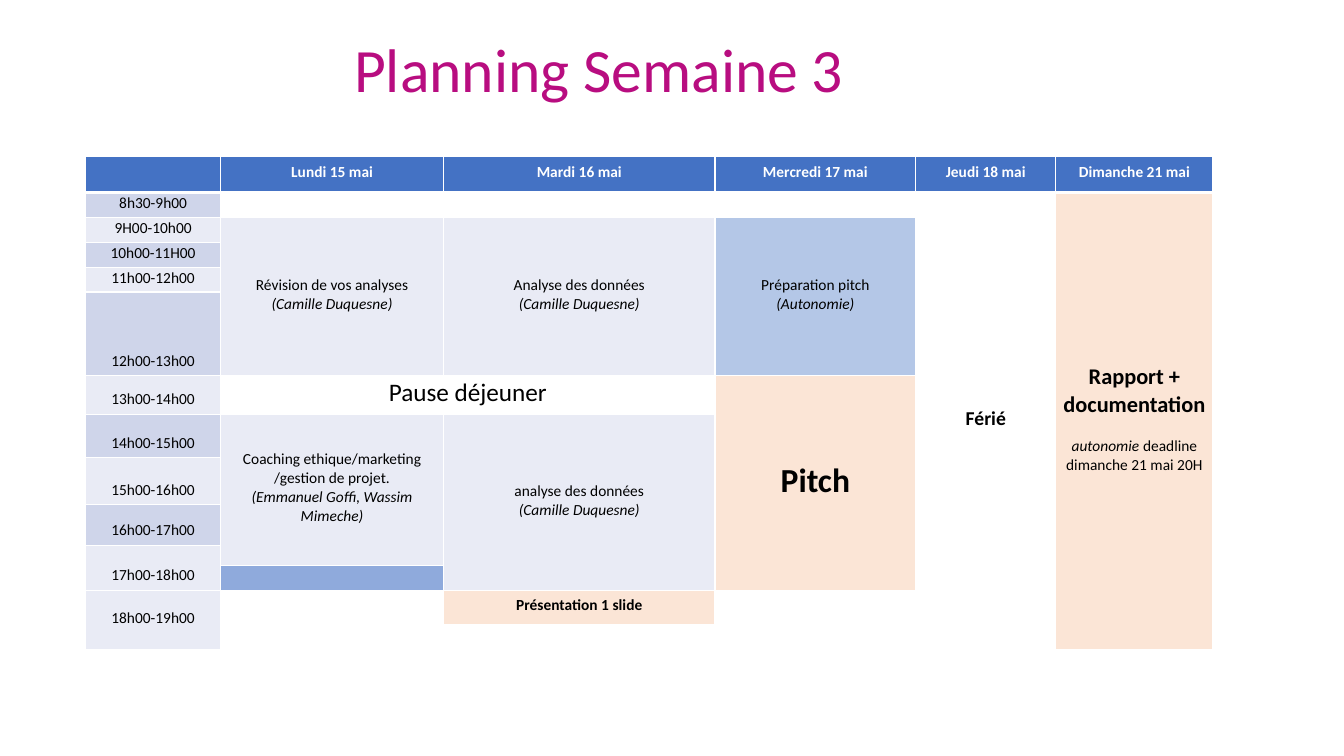
from dataclasses import dataclass

from lxml import etree
from pptx import Presentation
from pptx.dml.color import RGBColor
from pptx.enum.text import MSO_ANCHOR, PP_ALIGN
from pptx.oxml.ns import qn
from pptx.util import Cm, Pt

CENTER = PP_ALIGN.CENTER
MIDDLE = MSO_ANCHOR.MIDDLE
BOTTOM = MSO_ANCHOR.BOTTOM


@dataclass(frozen=True)
class Theme:
    font: str = "Calibri"
    title: str = "B80D80"
    header: str = "4472C4"
    white: str = "FFFFFF"
    black: str = "000000"
    band_dark: str = "CFD5EA"
    band_light: str = "E9EBF5"
    peach: str = "FBE5D6"
    sky: str = "B4C7E7"
    steel: str = "8FAADC"
    title_size: float = 44
    pitch_size: float = 24
    pause_size: float = 18
    report_size: float = 16
    holiday_size: float = 14
    body_size: float = 11


THEME = Theme()


@dataclass(frozen=True)
class Span:
    text: str
    italic: bool = False
    bold: bool = False
    size: float = THEME.body_size
    color: str = THEME.black


@dataclass(frozen=True)
class Line:
    spans: tuple[Span, ...]
    space_before: float = 0


@dataclass(frozen=True)
class Slot:
    row: int
    column: int
    fill: str
    lines: tuple[Line, ...] = ()
    rows: int = 1
    columns: int = 1
    anchor: MSO_ANCHOR = MIDDLE


COLUMN_WIDTHS = (3.4, 5.62, 6.84, 5.06, 3.53, 3.96)
ROW_HEIGHTS = (0.91, 0.62, 0.62, 0.62, 0.62, 2.11, 0.97,
               1.09, 1.19, 1.02, 0.51, 0.62, 0.86, 0.64)
DAYS = ("", "Lundi 15 mai", "Mardi 16 mai", "Mercredi 17 mai",
        "Jeudi 18 mai", "Dimanche 21 mai")
HOURS = {1: "8h30-9h00", 2: "9H00-10h00", 3: "10h00-11H00", 4: "11h00-12h00",
         5: "12h00-13h00", 6: "13h00-14h00", 7: "14h00-15h00",
         8: "15h00-16h00", 9: "16h00-17h00", 10: "17h00-18h00",
         12: "18h00-19h00"}
TWO_ROW_HOURS = (10, 12)
LAST_HOUR = 12


def line(text: str, **style) -> Line:
    return Line((Span(text, **style),))


def session(subject: str, lead: str) -> tuple[Line, ...]:
    return line(subject), line(lead, italic=True)


REPORT = (
    line("Rapport + documentation", bold=True, size=THEME.report_size),
    Line((Span("autonomie ", italic=True), Span("deadline dimanche 21 mai 20H")),
         space_before=13.4),
)

ACTIVITIES = (
    Slot(2, 1, THEME.band_light,
         session("Révision de vos analyses", "(Camille Duquesne)"), rows=4),
    Slot(2, 2, THEME.band_light,
         session("Analyse des données", "(Camille Duquesne)"), rows=4),
    Slot(2, 3, THEME.sky, session("Préparation pitch", "(Autonomie)"), rows=4),
    Slot(6, 1, THEME.white,
         (line("Pause déjeuner", size=THEME.pause_size),), columns=2),
    Slot(6, 3, THEME.peach,
         (line("Pitch", bold=True, size=THEME.pitch_size),), rows=6),
    Slot(7, 1, THEME.band_light,
         session("Coaching ethique/marketing /gestion de projet.",
                 "(Emmanuel Goffi, Wassim Mimeche)"), rows=4),
    Slot(7, 2, THEME.band_light,
         session("analyse des données", "(Camille Duquesne)"), rows=5),
    Slot(11, 1, THEME.steel),
    Slot(12, 1, THEME.white, rows=2),
    Slot(12, 2, THEME.peach, (line("Présentation 1 slide", bold=True),)),
    Slot(12, 3, THEME.white, rows=2),
    Slot(1, 4, THEME.white,
         (line("Férié", bold=True, size=THEME.holiday_size),), rows=13),
    Slot(1, 5, THEME.peach, REPORT, rows=13),
)


def write_line(para, content: Line) -> None:
    para.text = content.spans[0].text
    for extra in content.spans[1:]:
        para.add_run().text = extra.text
    para.alignment = CENTER
    if content.space_before:
        para.space_before = Pt(content.space_before)
    for run, span in zip(para.runs, content.spans):
        run.font.name = THEME.font
        run.font.size = Pt(span.size)
        run.font.bold = span.bold
        run.font.italic = span.italic
        run.font.color.rgb = RGBColor.from_string(span.color)


def prepare_cell(cell, row: int) -> None:
    """Set margins, white fill, empty-text size and white borders."""
    cell.margin_left = cell.margin_right = cell.margin_top = Cm(0.03)
    cell.margin_bottom = Cm(0.13)
    end = etree.SubElement(cell.text_frame.paragraphs[0]._p, qn("a:endParaRPr"))
    end.set("sz", str(int(THEME.body_size * 100)))
    cell.fill.solid()
    cell.fill.fore_color.rgb = RGBColor.from_string(THEME.white)
    widths = {"lnL": 1, "lnR": 1, "lnT": 3 if row == 1 else 1,
              "lnB": 3 if row == 0 else 1}
    properties = cell._tc.get_or_add_tcPr()
    for position, (side, width) in enumerate(widths.items()):
        border = etree.Element(qn(f"a:{side}"), w=str(Pt(width)))
        paint = etree.SubElement(border, qn("a:solidFill"))
        etree.SubElement(paint, qn("a:srgbClr"), val=THEME.white)
        properties.insert(position, border)


def fill_slot(table, slot: Slot) -> None:
    cell = table.cell(slot.row, slot.column)
    if slot.rows > 1 or slot.columns > 1:
        cell.merge(table.cell(slot.row + slot.rows - 1,
                              slot.column + slot.columns - 1))
    cell.fill.fore_color.rgb = RGBColor.from_string(slot.fill)
    cell.vertical_anchor = slot.anchor
    frame = cell.text_frame
    for index, content in enumerate(slot.lines):
        para = frame.add_paragraph() if index else frame.paragraphs[0]
        write_line(para, content)


def add_title(page) -> None:
    box = page.shapes.add_textbox(Cm(1.98), Cm(0.66), Cm(26.24), Cm(2.13))
    box.text_frame.word_wrap = True
    write_line(box.text_frame.paragraphs[0],
               line("Planning Semaine 3", size=THEME.title_size, color=THEME.title))


def add_schedule(page) -> None:
    table = page.shapes.add_table(
        len(ROW_HEIGHTS), len(COLUMN_WIDTHS), Cm(2.16), Cm(3.94),
        Cm(sum(COLUMN_WIDTHS)), Cm(sum(ROW_HEIGHTS))).table
    table.horz_banding = False
    for column, width in zip(table.columns, COLUMN_WIDTHS):
        column.width = Cm(width)
    for index, (row, height) in enumerate(zip(table.rows, ROW_HEIGHTS)):
        row.height = Cm(height)
        for cell in row.cells:
            prepare_cell(cell, index)

    # Header, hours and activities
    for column, day in enumerate(DAYS):
        label = (line(day, bold=True, color=THEME.white),) if day else ()
        fill_slot(table, Slot(0, column, THEME.header, label))
    for row, hour in HOURS.items():
        fill_slot(table, Slot(
            row, 0, THEME.band_dark if row % 2 else THEME.band_light,
            (line(hour),), rows=2 if row in TWO_ROW_HOURS else 1,
            anchor=MIDDLE if row == LAST_HOUR else BOTTOM))
    for activity in ACTIVITIES:
        fill_slot(table, activity)


def main() -> None:
    deck = Presentation()
    deck.slide_width, deck.slide_height = Cm(33.87), Cm(19.05)
    page = deck.slides.add_slide(deck.slide_layouts[6])
    add_title(page)
    add_schedule(page)
    deck.save("out.pptx")


if __name__ == "__main__":
    main()
